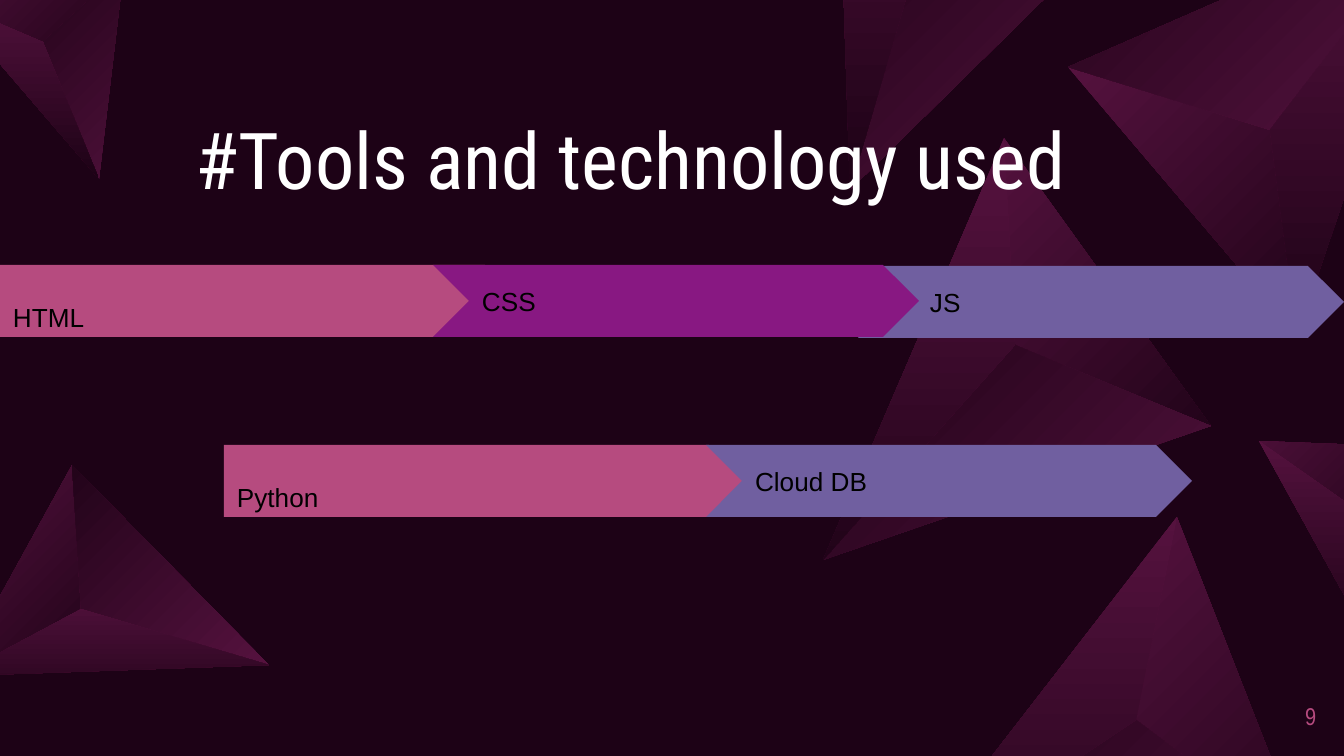
from dataclasses import dataclass
from math import cos, radians, sin

from pptx import Presentation
from pptx.dml.color import RGBColor
from pptx.enum.shapes import MSO_SHAPE
from pptx.enum.text import MSO_ANCHOR, PP_ALIGN
from pptx.util import Pt

WIDE, HIGH = 1344, 756
SCALE = 9144000 / WIDE


@dataclass(frozen=True)
class Theme:
    back: str = "1D0216"
    glow: str = "591341"
    pink: str = "B64B7F"
    plum: str = "881882"
    blue: str = "705FA0"
    white: str = "FFFFFF"
    black: str = "000000"
    head: str = "Roboto Condensed"
    body: str = "Arial"
    slim: str = "Arial Narrow"
    big: int = 42
    mid: int = 14
    small: int = 13


THEME = Theme()


def emu(px):
    return round(px * SCALE)


def rgb(code):
    return RGBColor.from_string(code)


def write(shape, text, font=THEME.body, size=THEME.mid, color=THEME.black,
          align=PP_ALIGN.LEFT, anchor=MSO_ANCHOR.MIDDLE, inset=(0, 0, 0, 0),
          line=None):
    frame = shape.text_frame
    frame.word_wrap = True
    frame.vertical_anchor = anchor
    (frame.margin_left, frame.margin_top,
     frame.margin_right, frame.margin_bottom) = map(emu, inset)
    para = frame.paragraphs[0]
    para.alignment = align
    if line:
        para.line_spacing = line
    run = para.add_run()
    run.text = text
    run.font.name = font
    run.font.size = Pt(size)
    run.font.color.rgb = rgb(color)


def label(slide, box, text, **style):
    write(slide.shapes.add_textbox(*map(emu, box)), text, **style)


def clean(shape):
    shape.shadow.inherit = False
    shape.line.fill.background()


def turn(point, pivot, angle):
    """Turn a point clockwise around a pivot."""
    c, s = cos(radians(angle)), sin(radians(angle))
    dx, dy = point[0] - pivot[0], point[1] - pivot[1]
    return pivot[0] + c * dx - s * dy, pivot[1] + s * dx + c * dy


def facet(slide, points, angle, shade):
    # The outline is laid out upright, then turned into place
    pivot = points[0]
    flat = [tuple(map(emu, turn(p, pivot, -angle))) for p in points]
    draft = slide.shapes.build_freeform(*flat[0], scale=1.0)
    draft.add_line_segments(flat[1:], close=True)
    shape = draft.convert_to_shape()
    mid = shape.left + shape.width / 2, shape.top + shape.height / 2
    x, y = turn(mid, tuple(map(emu, pivot)), angle)
    shape.left = round(x - shape.width / 2)
    shape.top = round(y - shape.height / 2)
    shape.rotation = angle
    clean(shape)
    # Adding the turn keeps the light direction fixed on the slide
    shape.fill.gradient()
    shape.fill.gradient_angle = (shade + angle) % 360
    for stop, color in zip(shape.fill.gradient_stops, (THEME.glow, THEME.back)):
        stop.color.rgb = rgb(color)


def seen(points):
    xs, ys = zip(*points)
    return max(xs) > 0 and min(xs) < WIDE and max(ys) > 0 and min(ys) < HIGH


def gem(slide, box, angle, corners, peak):
    """Three facets meeting at a peak; points are relative to the box."""
    a, b, c, top = [(box[0] + x, box[1] + y) for x, y in (*corners, peak)]
    sides = ((a, b, top), 315), ((b, c, top), 135), ((a, top, c), 270)
    for points, shade in sides:
        if seen(points):
            facet(slide, points, angle, shade)


def scene(slide, box):
    gems = (
        (100.5, ((1297, 336), (1068, 67), (1445, -98)), (1270, 130)),
        (169.6, ((-44, 676), (72, 465), (269, 665)), (81, 609)),
        (285.1, ((1004, 138), (1211, 426), (823, 560)), (1015, 345)),
        (299.6, ((1177, 517), (1306, 847), (896, 880)), (1136, 720)),
        (233.2, ((1259, 441), (1442, 448), (1374, 649)), (1347, 503)),
        (259.7, ((835, -269), (1144, -99), (850, 190)), (931, -87)),
        (220.8, ((-55, 0), (124, -32), (99, 179)), (43, 42)),
    )
    for angle, corners, peak in gems:
        gem(slide, box, angle, corners, peak)


def arrow(slide, box, text, color, first=False, pad=13):
    kind = MSO_SHAPE.PENTAGON if first else MSO_SHAPE.CHEVRON
    shape = slide.shapes.add_shape(kind, *map(emu, box))
    shape.adjustments[0] = 0.5
    clean(shape)
    shape.fill.solid()
    shape.fill.fore_color.rgb = rgb(color)
    anchor = MSO_ANCHOR.BOTTOM if first else MSO_ANCHOR.MIDDLE
    write(shape, text, anchor=anchor, inset=(pad, 0, 0, 4 if first else 0))


def chain(slide, box, steps):
    """Row of arrows, back to front: offset, text, colour, format."""
    left, top, _, high = box
    for (dx, dy), text, color, style in steps:
        wide = 521 if style.get("first") else 486
        arrow(slide, (left + dx, top + dy, wide, high), text, color, **style)


def main():
    deck = Presentation()
    deck.slide_width, deck.slide_height = emu(WIDE), emu(HIGH)
    slide = deck.slides.add_slide(deck.slide_layouts[6])
    fill = slide.background.fill
    fill.solid()
    fill.fore_color.rgb = rgb(THEME.back)

    # Backdrop
    scene(slide, (0, 0, WIDE, HIGH))

    # Title and page number
    label(slide, (196, 119, 952, 87), "#Tools and technology used",
          font=THEME.head, size=THEME.big, color=THEME.white,
          anchor=MSO_ANCHOR.BOTTOM, line=0.9)
    label(slide, (1257, 687, 59, 58), "9", font=THEME.slim, size=THEME.small,
          color=THEME.pink, align=PP_ALIGN.RIGHT)

    # Web languages
    chain(slide, (0, 265, 1344, 72), (
        ((858, 1), "JS", THEME.blue, {"pad": 36}),
        ((0, 0), "HTML", THEME.pink, {"first": True}),
        ((433, 0), "CSS", THEME.plum, {}),
    ))

    # Server side
    chain(slide, (224, 445, 968, 72), (
        ((0, 0), "Python", THEME.pink, {"first": True}),
        ((482, 0), "Cloud DB", THEME.blue, {}),
    ))

    deck.save("out.pptx")


if __name__ == "__main__":
    main()
